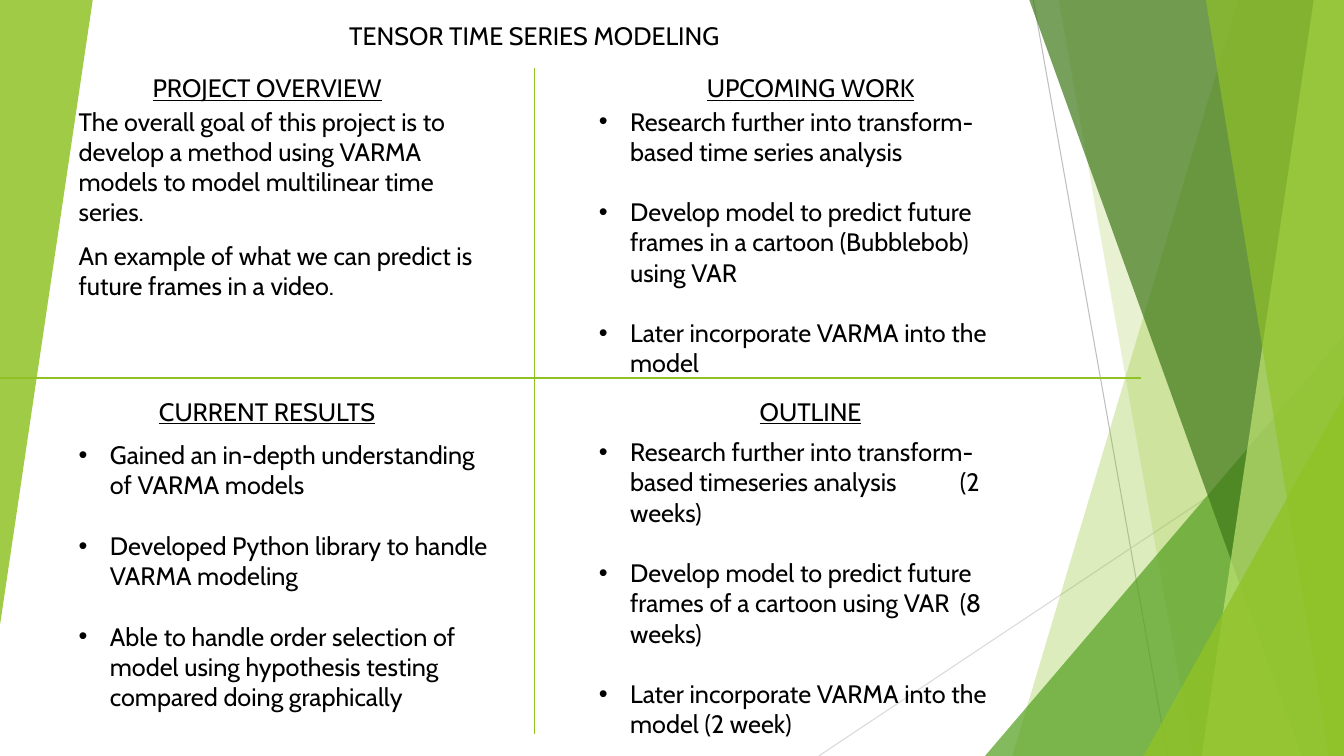
from lxml import etree
from pptx import Presentation, util as u
from pptx.dml.color import RGBColor
from pptx.enum import shapes, text
from pptx.oxml.ns import qn

LIME = "90C226"


def hue(code):
    """Turn a hex string into a colour."""
    return RGBColor.from_string(code)


class Board:
    """Hold the style and the slide; lengths are percent of its width and height."""

    def __init__(self, deck):
        self.deck = deck
        self.slide = deck.slides.add_slide(deck.slide_layouts[4])
        self.tree = self.slide.shapes
        self.font, self.size, self.ink = "Cabin", 18, "000000"

    def x(self, share):
        return round(self.deck.slide_width * share / 100)

    def y(self, share):
        return round(self.deck.slide_height * share / 100)

    def box(self, left, top, wide, high):
        return self.x(left), self.y(top), self.x(wide), self.y(high)

    def line(self, x1, y1, x2, y2, code, width):
        rule = self.tree.add_connector(
            shapes.MSO_CONNECTOR.STRAIGHT, self.x(x1), self.y(y1), self.x(x2), self.y(y2))
        rule.line.color.rgb = hue(code)
        rule.line.width = u.Pt(width)
        etree.SubElement(rule._element.spPr, qn("a:effectLst"))

    def paint(self, shape, code, alpha):
        shape.shadow.inherit = False
        shape.line.fill.background()
        shape.fill.solid()
        shape.fill.fore_color.rgb = hue(code)
        tint = next(shape._element.iter(qn("a:srgbClr")))
        etree.SubElement(tint, qn("a:alpha"), val=str(alpha * 1000))

    def band(self, top, foot, code, alpha):
        """Fill from a slanted left edge to the right side of the slide."""
        pen = self.tree.build_freeform(self.x(top), 0)
        pen.add_line_segments([(self.x(100), 0), (self.x(100), self.y(100)),
                               (self.x(foot), self.y(100))])
        self.paint(pen.convert_to_shape(), code, alpha)

    def wedge(self, area, code, alpha, turn=0):
        shape = self.tree.add_shape(shapes.MSO_SHAPE.ISOSCELES_TRIANGLE, *self.box(*area))
        shape.adjustments[0] = 1
        shape.rotation = turn
        self.paint(shape, code, alpha)

    def label(self, shape, lines, align, gap=0, dots=False, under=False):
        frame = shape.text_frame
        frame.word_wrap = True
        frame.auto_size = text.MSO_AUTO_SIZE.SHAPE_TO_FIT_TEXT
        frame.vertical_anchor = text.MSO_ANCHOR.TOP
        for i, words in enumerate(lines):
            para = frame.paragraphs[0] if i == 0 else frame.add_paragraph()
            para.add_run().text = words
            para.alignment = align
            para.space_before = u.Pt(gap if i else 0)
            self.mark(para, dots)
            font = para.font
            font.name, font.size, font.bold = self.font, u.Pt(self.size), False
            font.underline = under
            font.color.rgb = hue(self.ink)

    def mark(self, para, dots):
        """Set the indent, the bullet and the tab stop."""
        props = para._p.get_or_add_pPr()
        inset = u.Inches(0.31) if dots else 0
        props.set("marL", str(inset))
        props.set("indent", str(-inset))
        if not dots:
            etree.SubElement(props, qn("a:buNone"))
            return
        etree.SubElement(props, qn("a:buFont"), typeface="Arial")
        etree.SubElement(props, qn("a:buChar"), char="•")
        stops = etree.SubElement(props, qn("a:tabLst"))
        etree.SubElement(stops, qn("a:tab"), pos=str(u.Inches(3.58)), algn="l")

    def hold(self, key, area):
        """Move a placeholder to an area, in front of the shapes so far."""
        shape = next(p for p in self.slide.placeholders if p.placeholder_format.idx == key)
        shape.left, shape.top, shape.width, shape.height = self.box(*area)
        shape._element.getparent().append(shape._element)
        return shape

    def title(self, words, area):
        self.label(self.hold(0, area), [words], text.PP_ALIGN.CENTER)

    def head(self, words, area):
        shape = self.tree.add_textbox(*self.box(*area))
        self.label(shape, [words], text.PP_ALIGN.CENTER, under=True)

    def body(self, key, lines, area, gap, dots):
        self.label(self.hold(key, area), lines, text.PP_ALIGN.LEFT, gap, dots)


PARTS = [
    ("PROJECT OVERVIEW", 0, 0, 13.33, 27.33, 9.6, False, [
        "The overall goal of this project is to develop a method using VARMA models "
        "to model multilinear time series.",
        "An example of what we can predict is future frames in a video."]),
    ("UPCOMING WORK", 1, 0, 13.33, 37.73, 21.6, True, [
        "Research further into transform-based time series analysis",
        "Develop model to predict future frames in a cartoon (Bubblebob) using VAR",
        "Later incorporate VARMA into the model"]),
    ("CURRENT RESULTS", 0, 1, 57.47, 37.73, 21.6, True, [
        "Gained an in-depth understanding of VARMA models",
        "Developed Python library to handle VARMA modeling",
        "Able to handle order selection of model using hypothesis testing "
        "compared doing graphically"]),
    ("OUTLINE", 1, 1, 57.07, 41.73, 21.6, True, [
        "Research further into transform-based timeseries analysis\t(2 weeks)",
        "Develop model to predict future frames of a cartoon using VAR\t(8 weeks)",
        "Later incorporate VARMA into the model (2 week)"]),
]


def main():
    deck = Presentation()
    deck.slide_width, deck.slide_height = u.Inches(13.33), u.Inches(7.5)
    board = Board(deck)

    board.line(76.89, 0, 86.87, 100, "BFBFBF", 0.75)
    board.line(100, 53.73, 60.92, 100, "D9D9D9", 0.75)
    board.band(92.12, 75.32, LIME, 30)
    board.band(78.77, 88.75, LIME, 20)
    board.wedge((73.29, 44.4, 26.71, 55.6), "54A021", 72)
    board.band(76.59, 96.85, "3F7819", 70)
    board.band(97.75, 89.42, "C0E474", 70)
    board.band(89.72, 98.87, LIME, 65)
    board.wedge((85.07, 52.4, 14.93, 47.6), LIME, 80)
    board.wedge((0, 0, 6.9, 82.67), LIME, 85, 180)

    board.line(0, 50, 84.92, 50, LIME, 1)
    board.line(39.76, 97.07, 39.76, 8.93, LIME, 1)

    board.title("TENSOR TIME SERIES MODELING", (19.05, 2, 41.41, 5.33))
    for key, (name, col, row, top, high, gap, dots, lines) in enumerate(PARTS, 1):
        board.head(name, ((10.35, 50.79)[col], (8.93, 51.73)[row], 19.05, 5.33))
        board.body(key, lines, ((5.1, 43.81)[col], top, 32.93, high), gap, dots)

    deck.save("out.pptx")


if __name__ == "__main__":
    main()
